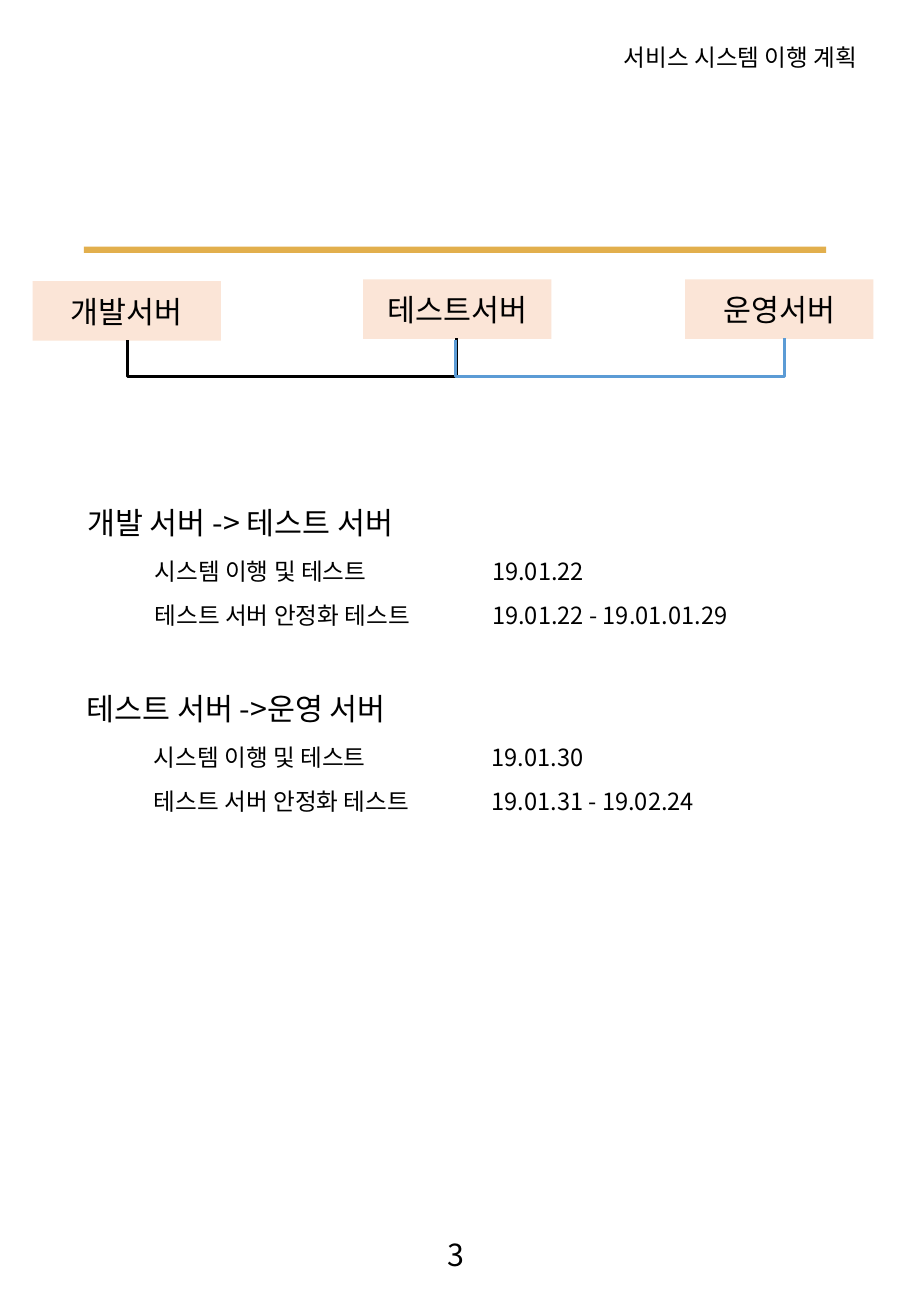
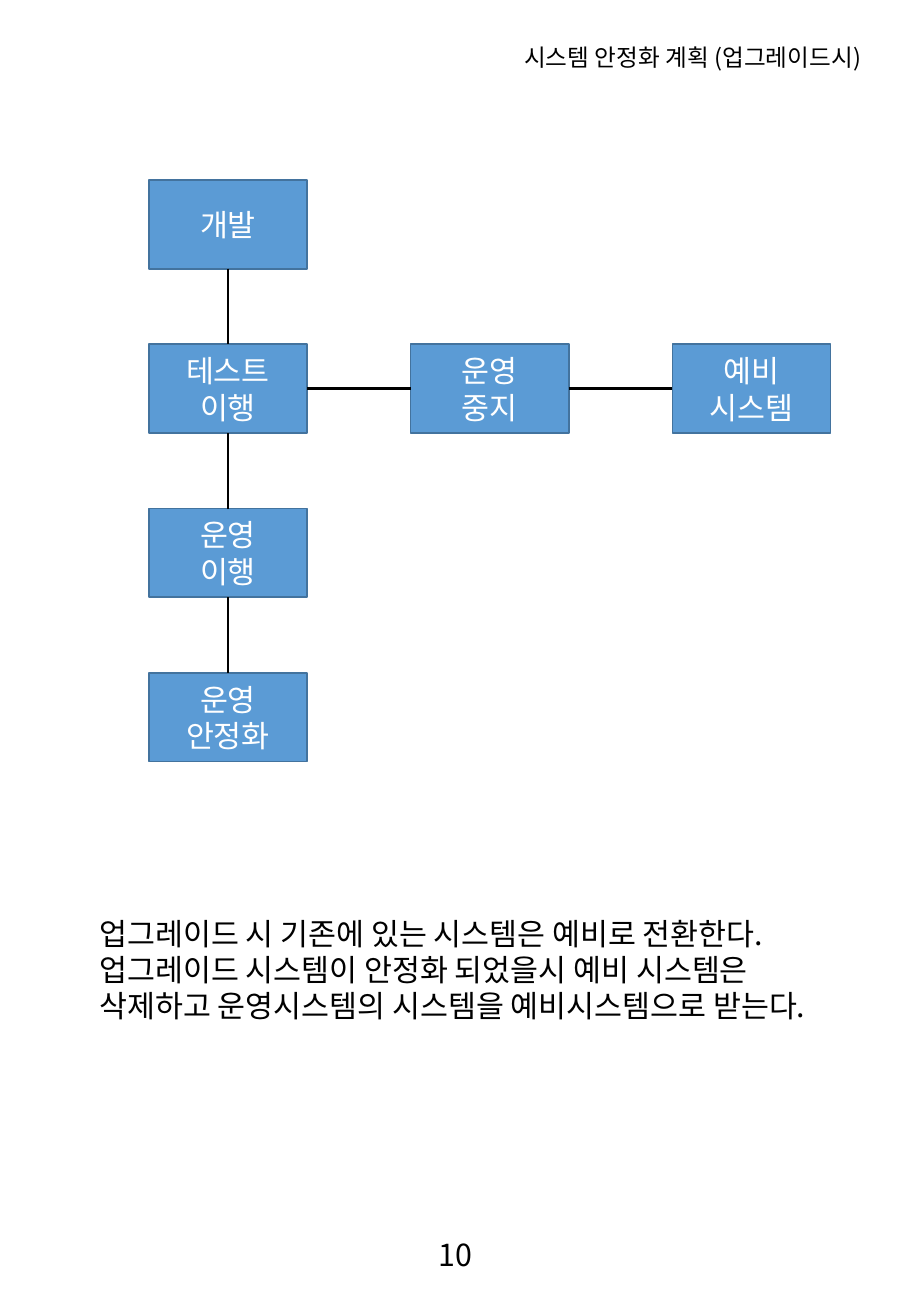
from lxml.etree import SubElement
from pptx import Presentation
from pptx.dml.color import RGBColor
from pptx.enum.shapes import MSO_CONNECTOR, MSO_SHAPE
from pptx.enum.text import MSO_ANCHOR, MSO_AUTO_SIZE, PP_ALIGN
from pptx.oxml.ns import qn
from pptx.util import Pt

FONT = "Noto Sans CJK KR"
BLACK, WHITE, GOLD, PEACH = "000000", "FFFFFF", "E2AF4D", "FBE5D7"
BLUE, DARK_BLUE = "5B9BD5", "43739E"
HEADING, DETAIL = 18, 14
LEADING = 1.2

SERVERS = [("개발서버", 19.4, 166.6), ("테스트서버", 215.3, 165.6), ("운영서버", 406.1, 165.6)]
SERVER_SIZE = (111.6, 35.3)
SERVER_LINKS = [(75.6, 270.7, BLACK), (270, 465, BLUE)]
LINK_TOP, LINK_RISE, LINK_DEPTH = 201.6, 1, 21.6

SCHEDULES = [
    (44.6, 295.2, "개발 서버 -> 테스트 서버",
     [("시스템 이행 및 테스트", "19.01.22"),
      ("테스트 서버 안정화 테스트", "19.01.22 - 19.01.01.29")]),
    (44.2, 405.6, "테스트 서버 ->운영 서버",
     [("시스템 이행 및 테스트", "19.01.30"),
      ("테스트 서버 안정화 테스트", "19.01.31 - 19.02.24")]),
]
SCHEDULE_TABS = (40, 240)
SCHEDULE_SPACING = (26.6, 26)

STEPS = {
    "develop": (0, 0, ["개발"]),
    "test": (0, 1, ["테스트", "이행"]),
    "stop": (1, 1, ["운영", "중지"]),
    "spare": (2, 1, ["예비", "시스템"]),
    "operate": (0, 2, ["운영", "이행"]),
    "stabilise": (0, 3, ["운영", "안정화"]),
}
STEP_LEFT, STEP_TOP, STEP_SIZE = 88.2, 106.7, (93.8, 52.6)
COLUMN_STEP, ROW_STEP = 155.2, 97.4
TOP, LEFT, BOTTOM, RIGHT = range(4)
STEP_LINKS = [
    ("develop", BOTTOM, "test", TOP),
    ("test", BOTTOM, "operate", TOP),
    ("operate", BOTTOM, "stabilise", TOP),
    ("test", RIGHT, "stop", LEFT),
    ("stop", RIGHT, "spare", LEFT),
]
UPGRADE_NOTES = [
    "업그레이드 시 기존에 있는 시스템은 예비로 전환한다.",
    "업그레이드 시스템이 안정화 되었을시 예비 시스템은",
    "삭제하고 운영시스템의 시스템을 예비시스템으로 받는다.",
]


def colour(value):
    return RGBColor.from_string(value)


def write(frame, lines, align=PP_ALIGN.LEFT, anchor=MSO_ANCHOR.TOP, ink=BLACK):
    frame.auto_size = MSO_AUTO_SIZE.NONE
    frame.word_wrap = True
    frame.vertical_anchor = anchor
    frame.margin_left = frame.margin_right = Pt(7.2)
    frame.margin_top = frame.margin_bottom = Pt(3.6)
    for index, (text, size, spacing) in enumerate(lines):
        para = frame.add_paragraph() if index else frame.paragraphs[0]
        para.alignment = align
        para.line_spacing = Pt(spacing)
        span = para.add_run()
        span.text = text
        span.font.size = Pt(size)
        span.font.name = FONT
        span.font.color.rgb = colour(ink)
        SubElement(span.font._element, qn("a:ea"), typeface=FONT)


def plain(texts, size=HEADING):
    return [(text, size, size * LEADING) for text in texts]


def add_text(page, left, top, width, height, lines, **style):
    box = page.shapes.add_textbox(Pt(left), Pt(top), Pt(width), Pt(height))
    write(box.text_frame, lines, **style)
    return box


def add_box(page, left, top, size, fill, outline=None, texts=(), ink=BLACK):
    box = page.shapes.add_shape(MSO_SHAPE.RECTANGLE, Pt(left), Pt(top), *map(Pt, size))
    box.shadow.inherit = False
    box.fill.solid()
    box.fill.fore_color.rgb = colour(fill)
    if outline:
        box.line.color.rgb = colour(outline)
        box.line.width = Pt(1)
    else:
        box.line.fill.background()
    write(box.text_frame, plain(texts), PP_ALIGN.CENTER, MSO_ANCHOR.MIDDLE, ink)
    return box


def add_link(page, kind, ink, left=0, top=0, right=0, bottom=0):
    link = page.shapes.add_connector(kind, Pt(left), Pt(top), Pt(right), Pt(bottom))
    link.line.color.rgb = colour(ink)
    link.line.width = Pt(1.5)
    SubElement(link._element.spPr, qn("a:effectLst"))
    return link


def add_u_link(page, start, end, ink):
    middle, half = (start + end) / 2, (end - start) / 2
    link = add_link(page, MSO_CONNECTOR.ELBOW, ink, middle - LINK_RISE / 2,
                    LINK_TOP - LINK_RISE / 2 - half, middle + LINK_RISE / 2,
                    LINK_TOP - LINK_RISE / 2 + half)
    frame = link._element.spPr.find(qn("a:xfrm"))
    for name, value in (("rot", "5400000"), ("flipH", "1"), ("flipV", "1")):
        frame.set(name, value)
    guides = link._element.spPr.find(qn("a:prstGeom")).find(qn("a:avLst"))
    ratio = round(-LINK_DEPTH / LINK_RISE * 100000)
    SubElement(guides, qn("a:gd"), name="adj1", fmla=f"val {ratio}")


def add_page(deck, title, left, width, number):
    page = deck.slides.add_slide(deck.slide_layouts[5])
    box = page.shapes.title
    box.left, box.top, box.width, box.height = map(Pt, (left, 21.6, width, 24.5))
    write(box.text_frame, plain([title], DETAIL))
    add_text(page, 240, 729, 60, 29, plain([number]), align=PP_ALIGN.CENTER)
    return page


def add_schedule(page, left, top, heading, entries):
    lines = plain([heading])
    for (task, date), spacing in zip(entries, SCHEDULE_SPACING):
        lines.append((f"\t{task}\t{date}", DETAIL, spacing))
    box = add_text(page, left, top, 400, 80, lines)
    for para in box.text_frame.paragraphs[1:]:
        stops = SubElement(para._p.get_or_add_pPr(), qn("a:tabLst"))
        for stop in SCHEDULE_TABS:
            SubElement(stops, qn("a:tab"), pos=str(Pt(stop)), algn="l")


def build_migration(deck):
    page = add_page(deck, "서비스 시스템 이행 계획", 362.5, 165, "3")
    add_box(page, 49.8, 146.2, (440, 3.8), GOLD)
    for label, left, top in SERVERS:
        add_box(page, left, top, SERVER_SIZE, PEACH, texts=[label])
    for start, end, ink in SERVER_LINKS:
        add_u_link(page, start, end, ink)
    for schedule in SCHEDULES:
        add_schedule(page, *schedule)


def build_upgrade(deck):
    page = add_page(deck, "시스템 안정화 계획 (업그레이드시)", 303.5, 228, "10")
    boxes = {}
    for name, (column, row, texts) in STEPS.items():
        boxes[name] = add_box(page, STEP_LEFT + column * COLUMN_STEP, STEP_TOP + row * ROW_STEP,
                              STEP_SIZE, BLUE, DARK_BLUE, texts, WHITE)
    for source, source_side, target, target_side in STEP_LINKS:
        link = add_link(page, MSO_CONNECTOR.STRAIGHT, BLACK)
        link.begin_connect(boxes[source], source_side)
        link.end_connect(boxes[target], target_side)
    add_text(page, 51.8, 538.6, 460, 73, plain(UPGRADE_NOTES))


def main():
    deck = Presentation()
    deck.slide_width, deck.slide_height = Pt(540), Pt(780)
    build_migration(deck)
    build_upgrade(deck)
    deck.save("out.pptx")


if __name__ == "__main__":
    main()
